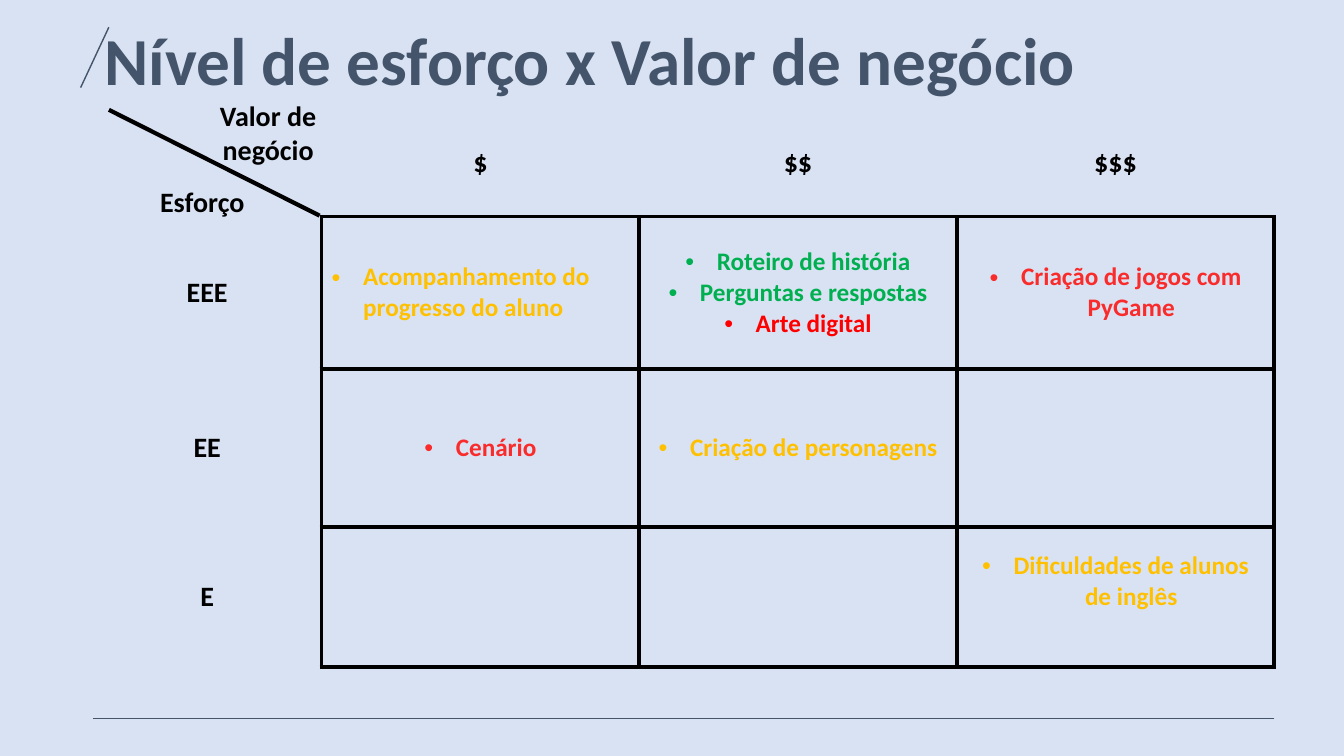
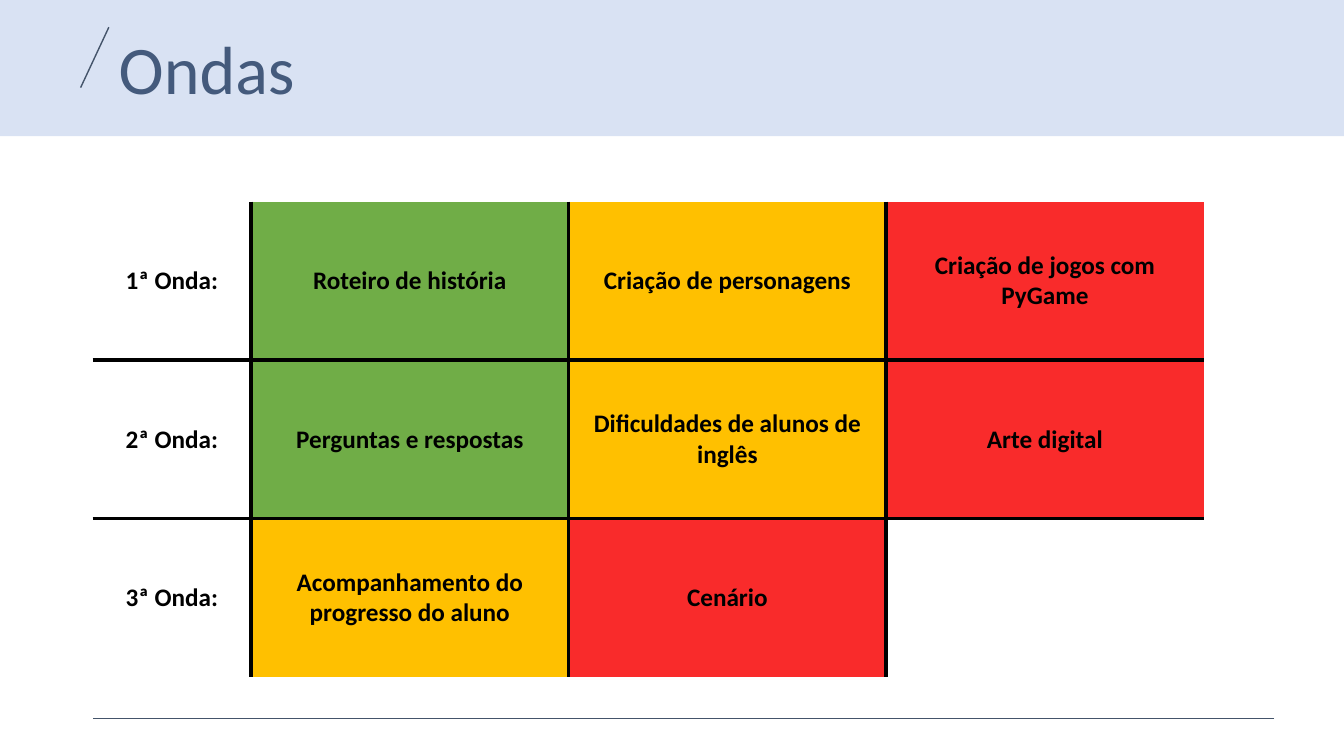
"""Build two slides: an effort and business value matrix, and the delivery waves."""
from dataclasses import dataclass
from typing import Callable, NamedTuple

from lxml.etree import SubElement
from pptx import Presentation
from pptx.dml.color import RGBColor
from pptx.enum.shapes import MSO_CONNECTOR as Connector, MSO_SHAPE as Preset
from pptx.enum.text import MSO_ANCHOR as Anchor, PP_ALIGN as Align
from pptx.oxml.ns import qn
from pptx.util import Inches, Pt


@dataclass(frozen=True)
class Theme:
    font: str = "Calibri"
    ink: str = "000000"
    slate: str = "44546A"
    band: str = "4472C4"
    band_opacity: int = 20
    green: str = "70AD47"
    bright_green: str = "00B050"
    amber: str = "FFC000"
    red: str = "F92B2B"
    bright_red: str = "FF0000"
    title: float = 48
    large_title: float = 48.6
    label: float = 20
    item: float = 18
    thin: float = 1
    thick: float = 3


class Box(NamedTuple):
    left: float
    top: float
    width: float
    height: float


class Stroke(NamedTuple):
    start: tuple[float, float]
    end: tuple[float, float]
    color: str
    weight: float


@dataclass(frozen=True)
class Line:
    text: str
    size: float
    color: str
    bold: bool = True
    align: Align = Align.CENTER
    bullet: bool = False
    spacing: float = 1.0


@dataclass(frozen=True)
class Cell:
    lines: tuple[Line, ...] = ()
    fill: str | None = None
    lift: float = 0


THEME = Theme()
WIDTH, HEIGHT = Inches(13.333), Inches(7.5)
MARGIN, RIGHT_EDGE = 6.9, 94.8
MATRIX_TOP = 14.53
WAVES_TOP = 26.67
ITEM_COLUMN = 23.63
BULLET_INDENT = 2.34
SIDES = "LRTB"
SLASH = Stroke((8.1, 3.6), (6, 11.6), THEME.slate, THEME.thin)
FOOTER = Stroke((RIGHT_EDGE, 95.07), (MARGIN, 95.07), THEME.slate, THEME.thin)


def across(share: float) -> int:
    """Turn a percentage of the slide's width into a length."""
    return round(WIDTH * share / 100)


def down(share: float) -> int:
    """Turn a percentage of the slide's height into a length."""
    return round(HEIGHT * share / 100)


def place(box: Box) -> tuple[int, int, int, int]:
    """Turn a box of percentages into slide lengths."""
    return across(box.left), down(box.top), across(box.width), down(box.height)


def write(frame, lines: tuple[Line, ...]) -> None:
    """Write one paragraph for each line."""
    for index, line in enumerate(lines):
        para = frame.add_paragraph() if index else frame.paragraphs[0]
        for name, value in {"alignment": line.align, "line_spacing": line.spacing}.items():
            setattr(para, name, value)
        if line.bullet:
            properties = para._p.get_or_add_pPr()
            indent = across(BULLET_INDENT)
            for name, value in {"marL": indent, "indent": -indent}.items():
                properties.set(name, str(value))
            SubElement(properties, qn("a:buFont"), typeface="Arial")
            SubElement(properties, qn("a:buChar"), char="•")
        span = para.add_run()
        span.text = line.text
        formats = {"name": THEME.font, "size": Pt(line.size), "bold": line.bold}
        for name, value in formats.items():
            setattr(span.font, name, value)
        span.font.color.rgb = RGBColor.from_string(line.color)


def add_text(page, box: Box, line: Line, anchor: Anchor = Anchor.MIDDLE) -> None:
    """Add a wrapped text box."""
    frame = page.shapes.add_textbox(*place(box)).text_frame
    for name, value in {"word_wrap": True, "vertical_anchor": anchor}.items():
        setattr(frame, name, value)
    write(frame, (line,))


def add_title(page, box: Box, text: str, size: float, bold: bool, anchor: Anchor) -> None:
    """Add a slide title in the shared style."""
    add_text(page, box, Line(text, size, THEME.slate, bold, Align.LEFT, spacing=0.9), anchor)


def add_band(page, height: float) -> None:
    """Add the translucent band that starts at the top of the slide."""
    band = page.shapes.add_shape(Preset.RECTANGLE, *place(Box(0, 0, 100, height)))
    band.shadow.inherit = False
    band.line.fill.background()
    band.fill.solid()
    band.fill.fore_color.rgb = RGBColor.from_string(THEME.band)
    color = band._element.spPr.find(qn("a:solidFill")).find(qn("a:srgbClr"))
    SubElement(color, qn("a:alpha"), val=str(THEME.band_opacity * 1000))


def add_stroke(page, stroke: Stroke) -> None:
    """Add a straight line without a shadow."""
    (left, top), (right, bottom) = stroke.start, stroke.end
    line = page.shapes.add_connector(
        Connector.STRAIGHT, across(left), down(top), across(right), down(bottom))
    line.line.color.rgb = RGBColor.from_string(stroke.color)
    line.line.width = Pt(stroke.weight)
    SubElement(line._element.spPr, qn("a:effectLst"))


def set_borders(cell, drawn: str) -> None:
    """Draw the named sides of a table cell and clear the others."""
    properties = cell._tc.get_or_add_tcPr()
    for side in SIDES:
        border = SubElement(properties, qn(f"a:ln{side}"), w=str(Pt(THEME.thick)))
        if side in drawn:
            paint = SubElement(border, qn("a:solidFill"))
            SubElement(paint, qn("a:srgbClr"), val=THEME.ink)
        else:
            SubElement(border, qn("a:noFill"))


def matrix_sides(row: int, column: int) -> str:
    """Frame the body cells and leave the headings open."""
    if row and column:
        return SIDES
    return "B" if column else "R" if row else ""


def wave_sides(row: int, column: int) -> str:
    """Draw only the lines between the cells of the waves."""
    inner = {"L": column > 0, "R": column < 3, "T": row > 0, "B": row < 2}
    return "".join(side for side, drawn in inner.items() if drawn)


def add_grid(page, top: float, columns: list[float], heights: list[float],
             rows: list[list[Cell]], sides: Callable[[int, int], str]) -> None:
    """Add a table whose column and row sizes are shares of the slide."""
    box = Box(MARGIN, top, sum(columns), sum(heights))
    table = page.shapes.add_table(len(heights), len(columns), *place(box)).table
    for name in ("first_row", "horz_banding"):
        setattr(table, name, False)
    for column, share in zip(table.columns, columns):
        column.width = across(share)
    for row, share in zip(table.rows, heights):
        row.height = down(share)
    for row_index, row in enumerate(rows):
        for column_index, content in enumerate(row):
            cell = table.cell(row_index, column_index)
            set_borders(cell, sides(row_index, column_index))
            cell.vertical_anchor = Anchor.MIDDLE
            cell.margin_bottom += down(content.lift)
            if content.fill:
                cell.fill.solid()
                cell.fill.fore_color.rgb = RGBColor.from_string(content.fill)
            else:
                cell.fill.background()
            write(cell.text_frame, content.lines)


def label(text: str) -> Line:
    """Return a heading of the matrix."""
    return Line(text, THEME.label, THEME.ink)


def heading(text: str) -> Cell:
    """Return a cell that holds a heading of the matrix."""
    return Cell((label(text),))


def bullet(text: str, color: str, align: Align = Align.CENTER) -> Line:
    """Return a bulleted item of the matrix."""
    return Line(text, THEME.item, color, align=align, bullet=True)


def wave(text: str, fill: str | None = None) -> Cell:
    """Return a cell of the waves."""
    return Cell((Line(text, THEME.item, THEME.ink),), fill)


def build_matrix(page) -> None:
    """Draw the effort and business value matrix."""
    add_band(page, 100)
    add_title(page, Box(7.05, 2.93, 86.78, 10.93), "Nível de esforço x Valor de negócio",
              THEME.title, True, Anchor.MIDDLE)
    for stroke in (SLASH, FOOTER):
        add_stroke(page, stroke)
    rows = [
        [Cell(), heading("$"), heading("$$"), heading("$$$")],
        [heading("EEE"),
         Cell((bullet("Acompanhamento do progresso do aluno", THEME.amber, Align.LEFT),)),
         Cell((bullet("Roteiro de história", THEME.bright_green),
               bullet("Perguntas e respostas", THEME.bright_green),
               bullet("Arte digital", THEME.bright_red))),
         Cell((bullet("Criação de jogos com PyGame", THEME.red),))],
        [heading("EE"),
         Cell((bullet("Cenário", THEME.red),)),
         Cell((bullet("Criação de personagens", THEME.amber),)),
         Cell()],
        [heading("E"), Cell(), Cell(),
         Cell((bullet("Dificuldades de alunos de inglês", THEME.amber),), lift=4.1)],
    ]
    add_grid(page, MATRIX_TOP, [17.03] + [ITEM_COLUMN] * 3, [14.13, 20.13, 20.93, 18.53],
             rows, matrix_sides)
    add_stroke(page, Stroke((23.78, 28.53), (8.1, MATRIX_TOP), THEME.ink, THEME.thick))
    add_text(page, Box(10.73, 23.73, 8.63, 5.87), label("Esforço"))
    add_text(page, Box(15.08, 12.4, 9.75, 10.27), label("Valor de negócio"))


def build_waves(page) -> None:
    """Draw the table of delivery waves."""
    add_title(page, Box(8.1, 3.07, 49.95, 12), "Ondas", THEME.large_title, False, Anchor.BOTTOM)
    add_band(page, 18)
    for stroke in (SLASH, FOOTER):
        add_stroke(page, stroke)
    rows = [
        [wave("1ª Onda:"), wave("Roteiro de história", THEME.green),
         wave("Criação de personagens", THEME.amber),
         wave("Criação de jogos com PyGame", THEME.red)],
        [wave("2ª Onda:"), wave("Perguntas e respostas", THEME.green),
         wave("Dificuldades de alunos de inglês", THEME.amber),
         wave("Arte digital", THEME.red)],
        [wave("3ª Onda:"), wave("Acompanhamento do progresso do aluno", THEME.amber),
         wave("Cenário", THEME.red), Cell()],
    ]
    add_grid(page, WAVES_TOP, [11.78] + [ITEM_COLUMN] * 3, [20.97] * 3, rows, wave_sides)


def main() -> None:
    """Build and save the deck."""
    deck = Presentation()
    for name, value in {"slide_width": WIDTH, "slide_height": HEIGHT}.items():
        setattr(deck, name, value)
    for build in (build_matrix, build_waves):
        build(deck.slides.add_slide(deck.slide_layouts[6]))
    deck.save("out.pptx")


if __name__ == "__main__":
    main()
